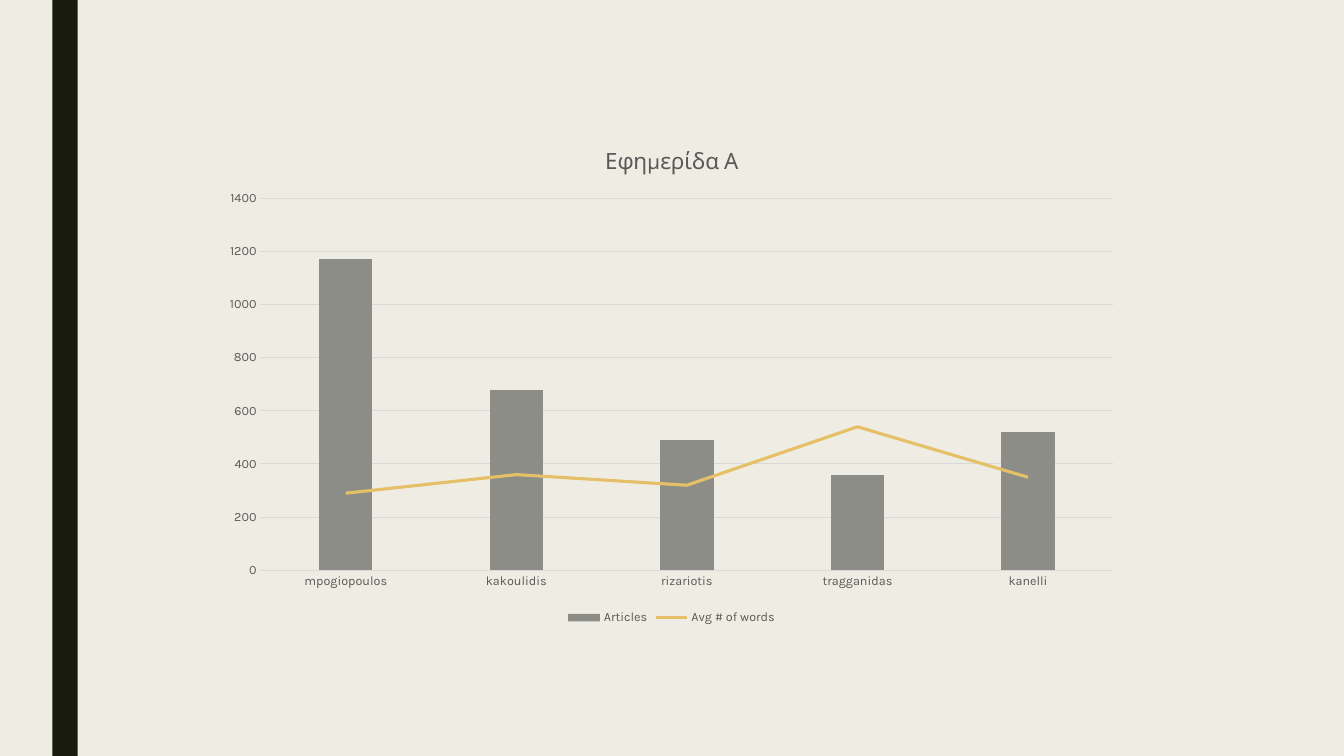
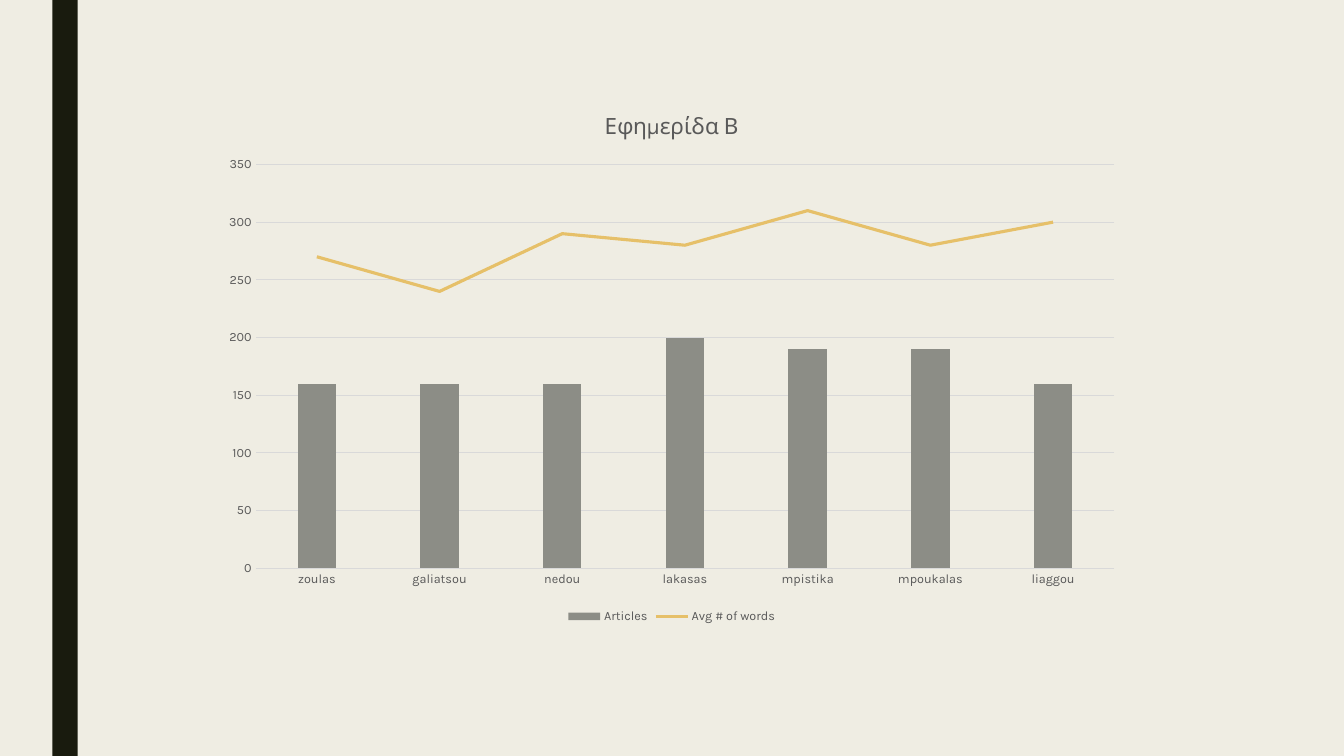
from dataclasses import dataclass

from lxml import etree
from pptx import Presentation
from pptx.chart.chart import Chart
from pptx.chart.data import CategoryChartData
from pptx.dml.color import RGBColor
from pptx.enum.chart import XL_CHART_TYPE, XL_LEGEND_POSITION, XL_MARKER_STYLE, XL_TICK_MARK
from pptx.enum.shapes import MSO_SHAPE
from pptx.oxml.ns import qn
from pptx.slide import Slide
from pptx.text.text import Font, TextFrame
from pptx.util import Cm, Pt

RECTANGLE = MSO_SHAPE.RECTANGLE
COLUMNS = XL_CHART_TYPE.COLUMN_CLUSTERED
LEGEND_BOTTOM = XL_LEGEND_POSITION.BOTTOM
NO_TICK = XL_TICK_MARK.NONE
NO_MARKER = XL_MARKER_STYLE.NONE
BLANK_LAYOUT = 6
BAND_ID = 20


@dataclass(frozen=True)
class Theme:
    font: str = "Karla"
    background: RGBColor = RGBColor(0xEF, 0xED, 0xE3)
    band: RGBColor = RGBColor(0x19, 0x1B, 0x0E)
    text: RGBColor = RGBColor(0x59, 0x59, 0x59)
    rule: RGBColor = RGBColor(0xD9, 0xD9, 0xD9)
    column: RGBColor = RGBColor(0x8C, 0x8D, 0x86)
    trend: RGBColor = RGBColor(0xE6, 0xC0, 0x69)
    title_size: float = 16
    label_size: float = 9
    rule_width: float = 0.75
    trend_width: float = 2.25


@dataclass(frozen=True)
class Newspaper:
    title: str
    left: float
    top: float
    width: float
    height: float
    axis_max: int
    axis_step: int
    authors: tuple[str, ...]
    articles: tuple[int, ...]
    words: tuple[int, ...]


THEME = Theme()
DECK_WIDTH, DECK_HEIGHT = Cm(33.87), Cm(19.05)
NEWSPAPERS = (
    Newspaper(
        "Εφημερίδα Α", 5.33, 3.2, 23.19, 12.65, 1400, 200,
        ("mpogiopoulos", "kakoulidis", "rizariotis", "tragganidas", "kanelli"),
        (1170, 680, 490, 360, 520),
        (290, 360, 320, 540, 350),
    ),
    Newspaper(
        "Εφημερίδα Β", 5.31, 2.31, 23.24, 13.51, 350, 50,
        ("zoulas", "galiatsou", "nedou", "lakasas", "mpistika", "mpoukalas", "liaggou"),
        (160, 160, 160, 200, 190, 190, 160),
        (270, 240, 290, 280, 310, 280, 300),
    ),
)


def style_font(font: Font, *, size: float, color: RGBColor = THEME.text) -> None:
    font.name = THEME.font
    font.size = Pt(size)
    font.bold = False
    font.color.rgb = color


def write_text(frame: TextFrame, text: str, *, size: float, color: RGBColor = THEME.text) -> None:
    para = frame.paragraphs[0]
    span = para.add_run()
    span.text = text
    style_font(para.font, size=size, color=color)
    style_font(span.font, size=size, color=color)


def move_band_to_master(page: Slide) -> None:
    band = page.shapes.add_shape(RECTANGLE, Cm(1.32), 0, Cm(0.64), DECK_HEIGHT)
    band.shadow.inherit = False
    band.fill.solid()
    band.fill.fore_color.rgb = THEME.band
    band.line.fill.background()
    band.element.nvSpPr.cNvPr.set("id", str(BAND_ID))
    page.slide_layout.slide_master.shapes.element.append(band.element)


def turn_last_series_into_line(chart: Chart) -> None:
    bars = chart.element.find(".//" + qn("c:barChart"))
    series = bars.findall(qn("c:ser"))[-1]
    for flag in series.findall(qn("c:invertIfNegative")):
        series.remove(flag)
    lines = bars.makeelement(qn("c:lineChart"))
    bars.addnext(lines)
    etree.SubElement(lines, qn("c:grouping"), val="standard")
    etree.SubElement(lines, qn("c:varyColors"), val="0")
    lines.append(series)
    etree.SubElement(lines, qn("c:marker"), val="1")
    for axis in bars.findall(qn("c:axId")):
        etree.SubElement(lines, qn("c:axId"), val=axis.get("val"))


def style_series(chart: Chart) -> None:
    columns, lines = chart.plots
    columns.vary_by_categories = False
    columns.gap_width = 219
    columns.overlap = -27
    fill = columns.series[0].format.fill
    fill.solid()
    fill.fore_color.rgb = THEME.column
    trend = lines.series[0]
    trend.smooth = False
    trend.marker.style = NO_MARKER
    trend.format.line.color.rgb = THEME.trend
    trend.format.line.width = Pt(THEME.trend_width)


def style_axes(chart: Chart, newspaper: Newspaper) -> None:
    names, values = chart.category_axis, chart.value_axis
    for axis in (names, values):
        axis.major_tick_mark = axis.minor_tick_mark = NO_TICK
        style_font(axis.tick_labels.font, size=THEME.label_size)
    values.minimum_scale = 0
    values.maximum_scale = newspaper.axis_max
    values.major_unit = newspaper.axis_step
    values.has_major_gridlines = True
    values.format.line.fill.background()
    for rule in (names.format.line, values.major_gridlines.format.line):
        rule.color.rgb = THEME.rule
        rule.width = Pt(THEME.rule_width)


def add_newspaper_chart(page: Slide, newspaper: Newspaper) -> None:
    figures = CategoryChartData()
    figures.categories = newspaper.authors
    figures.add_series("Articles", newspaper.articles)
    figures.add_series("Avg # of words", newspaper.words)
    place = [Cm(n) for n in (newspaper.left, newspaper.top, newspaper.width, newspaper.height)]
    chart = page.shapes.add_chart(COLUMNS, *place, figures).chart
    style_font(chart.font, size=THEME.label_size)
    turn_last_series_into_line(chart)
    style_series(chart)
    style_axes(chart, newspaper)
    chart.has_title = True
    chart.chart_title.include_in_layout = False
    write_text(chart.chart_title.text_frame, newspaper.title, size=THEME.title_size)
    chart.has_legend = True
    chart.legend.position = LEGEND_BOTTOM
    chart.legend.include_in_layout = False
    style_font(chart.legend.font, size=THEME.label_size)


def main() -> None:
    deck = Presentation()
    deck.slide_width, deck.slide_height = DECK_WIDTH, DECK_HEIGHT
    backdrop = deck.slide_master.background.fill
    backdrop.solid()
    backdrop.fore_color.rgb = THEME.background
    pages = [deck.slides.add_slide(deck.slide_layouts[BLANK_LAYOUT]) for _ in NEWSPAPERS]
    move_band_to_master(pages[0])
    for page, newspaper in zip(pages, NEWSPAPERS):
        add_newspaper_chart(page, newspaper)
    deck.save("out.pptx")


if __name__ == "__main__":
    main()
